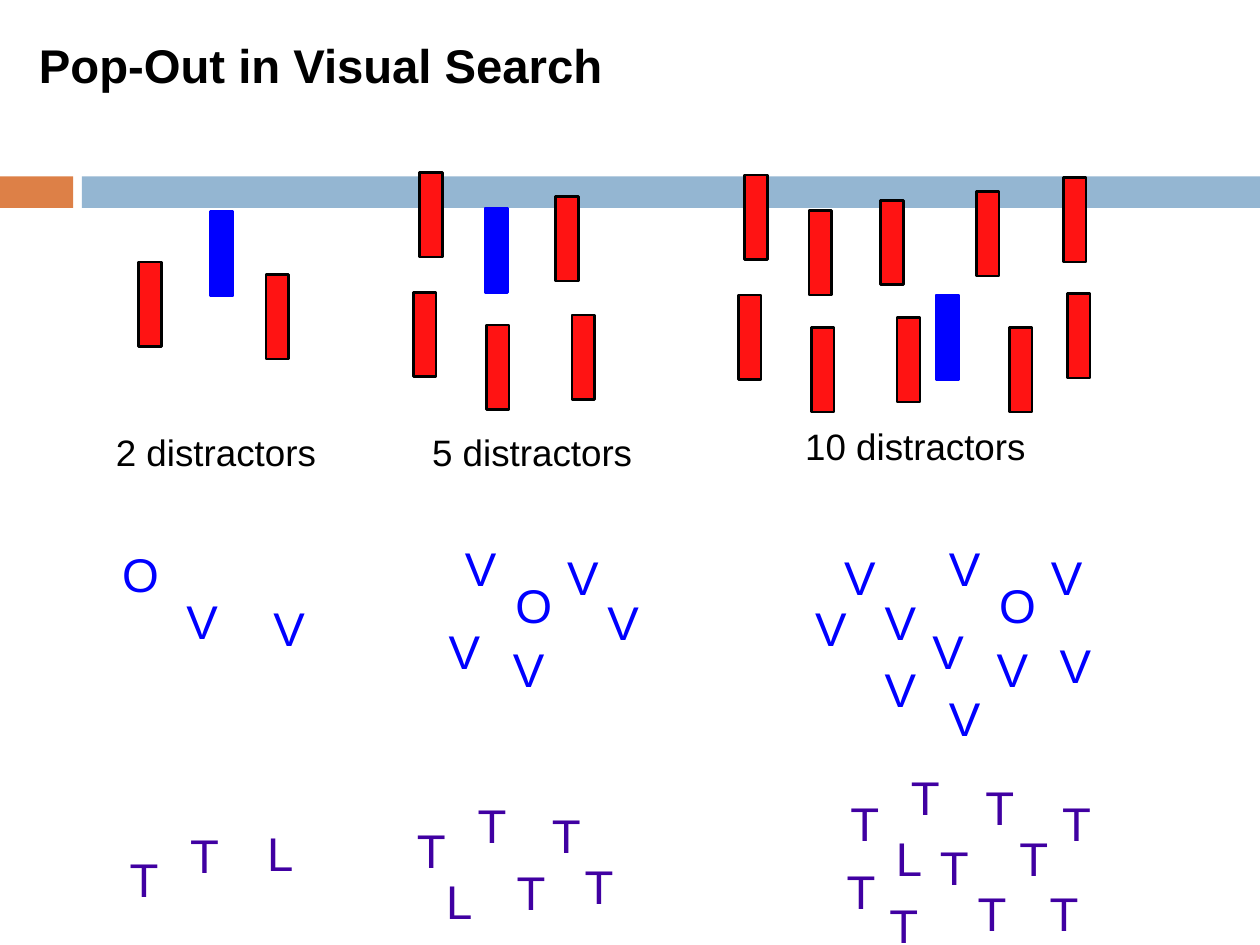
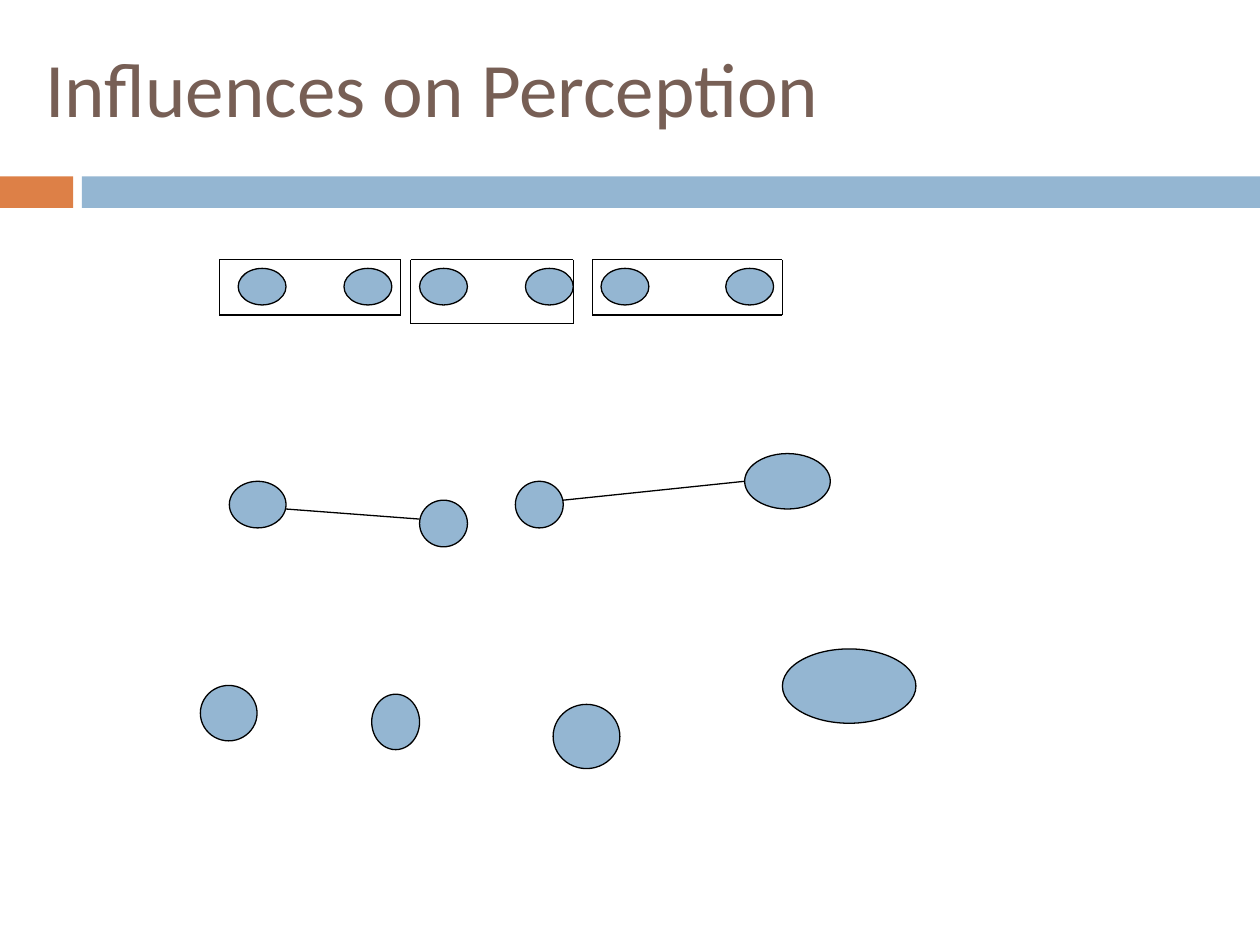
from dataclasses import dataclass

from lxml import etree
from pptx import Presentation
from pptx.dml.color import RGBColor
from pptx.enum.shapes import MSO_CONNECTOR, MSO_SHAPE
from pptx.enum.text import MSO_ANCHOR
from pptx.oxml.ns import qn
from pptx.util import Inches, Pt

RECTANGLE = MSO_SHAPE.RECTANGLE
ROUNDED = MSO_SHAPE.ROUNDED_RECTANGLE
OVAL = MSO_SHAPE.OVAL
STRAIGHT = MSO_CONNECTOR.STRAIGHT
TOP = MSO_ANCHOR.TOP
MIDDLE = MSO_ANCHOR.MIDDLE


@dataclass(frozen=True)
class Theme:
    black: str = "000000"
    brown: str = "775F55"
    orange: str = "DD8047"
    steel: str = "94B6D2"
    red: str = "FF1313"
    blue: str = "0000FF"
    purple: str = "4000A2"
    body_font: str = "Arial"
    title_font: str = "Calibri"
    title_size: float = 44
    letter_size: float = 27
    label_size: float = 21
    bar_line: float = 1.46
    thin_line: float = 0.75


THEME = Theme()

BANDS = [(0, 0.58, THEME.orange), (0.65, 9.35, THEME.steel)]
BAND_TOP, BAND_HEIGHT = 1.4, 0.25

BAR_SIZE = (0.18, 0.67)
BAR_GROUPS = [
    {
        "label": ("2 distractors", 0.92, 3.41, 1.76),
        "target": (1.67, 1.68),
        "distractors": [(1.1, 2.08), (2.11, 2.18)],
    },
    {
        "label": ("5 distractors", 3.43, 3.41, 1.76),
        "target": (3.85, 1.65),
        "distractors": [(3.28, 2.32), (3.33, 1.37), (3.86, 2.58), (4.41, 1.56), (4.54, 2.5)],
    },
    {
        "label": ("10 distractors", 6.39, 3.36, 1.94),
        "target": (7.43, 2.34),
        "distractors": [
            (5.86, 2.34), (6.42, 1.67), (5.91, 1.39), (6.44, 2.6), (6.99, 1.59),
            (7.12, 2.52), (7.75, 1.52), (8.44, 1.41), (8.01, 2.6), (8.47, 2.33),
        ],
    },
]

LETTER_WIDTHS = {"V": 0.29, "O": 0.34, "T": 0.27, "L": 0.27}
LETTER_HEIGHT = 0.47
LETTER_GROUPS = [
    (THEME.blue, {"O": [(0.97, 4.33)], "V": [(1.48, 4.7), (2.17, 4.76)]}),
    (THEME.blue, {
        "O": [(4.09, 4.57)],
        "V": [(3.69, 4.28), (4.5, 4.35), (3.56, 4.94), (4.82, 4.71), (4.07, 5.08)],
    }),
    (THEME.blue, {
        "O": [(7.93, 4.57)],
        "V": [
            (7.53, 4.28), (8.34, 4.35), (7.4, 4.94), (8.41, 5.05), (7.91, 5.08),
            (7.02, 5.24), (6.7, 4.35), (7.53, 5.47), (7.02, 4.71), (6.47, 4.76),
        ],
    }),
    (THEME.purple, {"L": [(2.12, 6.54)], "T": [(1.51, 6.56), (1.03, 6.75)]}),
    (THEME.purple, {
        "L": [(3.54, 6.92)],
        "T": [(3.79, 6.32), (3.31, 6.52), (4.1, 6.85), (4.64, 6.8), (4.38, 6.4)],
    }),
    (THEME.purple, {
        "L": [(7.11, 6.58)],
        "T": [
            (7.23, 6.1), (6.75, 6.3), (6.72, 6.84), (8.09, 6.58), (7.82, 6.18),
            (7.06, 7.11), (7.46, 6.65), (8.43, 6.3), (8.33, 7.02), (7.76, 7.02),
        ],
    }),
]

PAIR_LEFTS = [1.89, 2.73, 3.33, 4.17, 4.77, 5.76]
PAIR_TOP, PAIR_SIZE = 2.13, (0.38, 0.29)
FRAME_TOP = 2.06
FRAMES = [(1.74, 3.18, 2.5), (3.26, 4.55, 2.57), (4.7, 6.21, 2.5)]
LINKED_OVALS = [
    (1.82, 3.82, 0.45, 0.37), (3.33, 3.97, 0.38, 0.37),
    (4.09, 3.82, 0.38, 0.37), (5.91, 3.6, 0.68, 0.44),
]
LINKS = [((2.27, 4.04), (3.33, 4.12)), ((4.47, 3.97), (5.91, 3.82))]
LOOSE_OVALS = [
    (1.59, 5.44, 0.45, 0.44), (2.95, 5.51, 0.38, 0.44),
    (4.39, 5.59, 0.53, 0.51), (6.21, 5.15, 1.06, 0.59),
]


def color(value):
    return RGBColor.from_string(value)


def add_text(shapes, text, *, at, size, fill=THEME.black, font=THEME.body_font,
             bold=False, anchor=TOP, margins=(0, 0, 0, 0)):
    box = shapes.add_textbox(*map(Inches, at))
    frame = box.text_frame
    frame.word_wrap = True
    frame.vertical_anchor = anchor
    (frame.margin_left, frame.margin_top,
     frame.margin_right, frame.margin_bottom) = map(Inches, margins)
    span = frame.paragraphs[0].add_run()
    span.text = text
    span.font.name = font
    span.font.size = Pt(size)
    span.font.bold = bold
    span.font.color.rgb = color(fill)


def add_figure(shapes, kind, at, fill, line=None, width=THEME.thin_line):
    figure = shapes.add_shape(kind, *map(Inches, at))
    figure.shadow.inherit = False
    figure.fill.solid()
    figure.fill.fore_color.rgb = color(fill)
    if line:
        figure.line.color.rgb = color(line)
        figure.line.width = Pt(width)
    else:
        figure.line.fill.background()
    return figure


def add_line(shapes, start, end):
    line = shapes.add_connector(STRAIGHT, *map(Inches, (*start, *end)))
    line.line.color.rgb = color(THEME.black)
    line.line.width = Pt(THEME.thin_line)
    etree.SubElement(line._element.spPr, qn("a:effectLst"))


def add_frame(shapes, left, right, bottom):
    corners = [(left, FRAME_TOP), (right, FRAME_TOP), (right, bottom), (left, bottom)]
    for start, end in zip(corners, corners[1:] + corners[:1]):
        add_line(shapes, start, end)


def add_page(deck):
    page = deck.slides.add_slide(deck.slide_layouts[6])
    for left, width, fill in BANDS:
        add_figure(page.shapes, RECTANGLE, (left, BAND_TOP, width, BAND_HEIGHT), fill)
    return page


def add_bar(shapes, place, fill, line):
    bar = add_figure(shapes, ROUNDED, (*place, *BAR_SIZE), fill, line, THEME.bar_line)
    bar.adjustments[0] = 0


def build_search_page(deck):
    page = add_page(deck)
    add_text(page.shapes, "Pop-Out in Visual Search", at=(0.31, 0.29, 8.36, 0.47),
             size=THEME.letter_size, bold=True)
    for display in BAR_GROUPS:
        shapes = page.shapes.add_group_shape().shapes
        for place in display["distractors"]:
            add_bar(shapes, place, THEME.red, THEME.black)
        add_bar(shapes, display["target"], THEME.blue, THEME.blue)
        label, left, top, width = display["label"]
        add_text(shapes, label, at=(left, top, width, 0.37), size=THEME.label_size)
    for fill, letters in LETTER_GROUPS:
        shapes = page.shapes.add_group_shape().shapes
        for letter, places in letters.items():
            for place in places:
                add_text(shapes, letter, at=(*place, LETTER_WIDTHS[letter], LETTER_HEIGHT),
                         size=THEME.letter_size, fill=fill)


def build_perception_page(deck):
    page = add_page(deck)
    add_text(page.shapes, "Influences on Perception", at=(0.27, 0.17, 9.32, 1.04),
             size=THEME.title_size, fill=THEME.brown, font=THEME.title_font,
             anchor=MIDDLE, margins=(0.09, 0.04, 0.09, 0.05))
    pairs = [(left, PAIR_TOP, *PAIR_SIZE) for left in PAIR_LEFTS]
    for at in pairs + LINKED_OVALS + LOOSE_OVALS:
        add_figure(page.shapes, OVAL, at, THEME.steel, THEME.black)
    for frame in FRAMES:
        add_frame(page.shapes, *frame)
    for start, end in LINKS:
        add_line(page.shapes, start, end)


def main():
    deck = Presentation()
    deck.slide_width, deck.slide_height = Inches(10), Inches(7.5)
    build_search_page(deck)
    build_perception_page(deck)
    deck.save("out.pptx")


if __name__ == "__main__":
    main()
